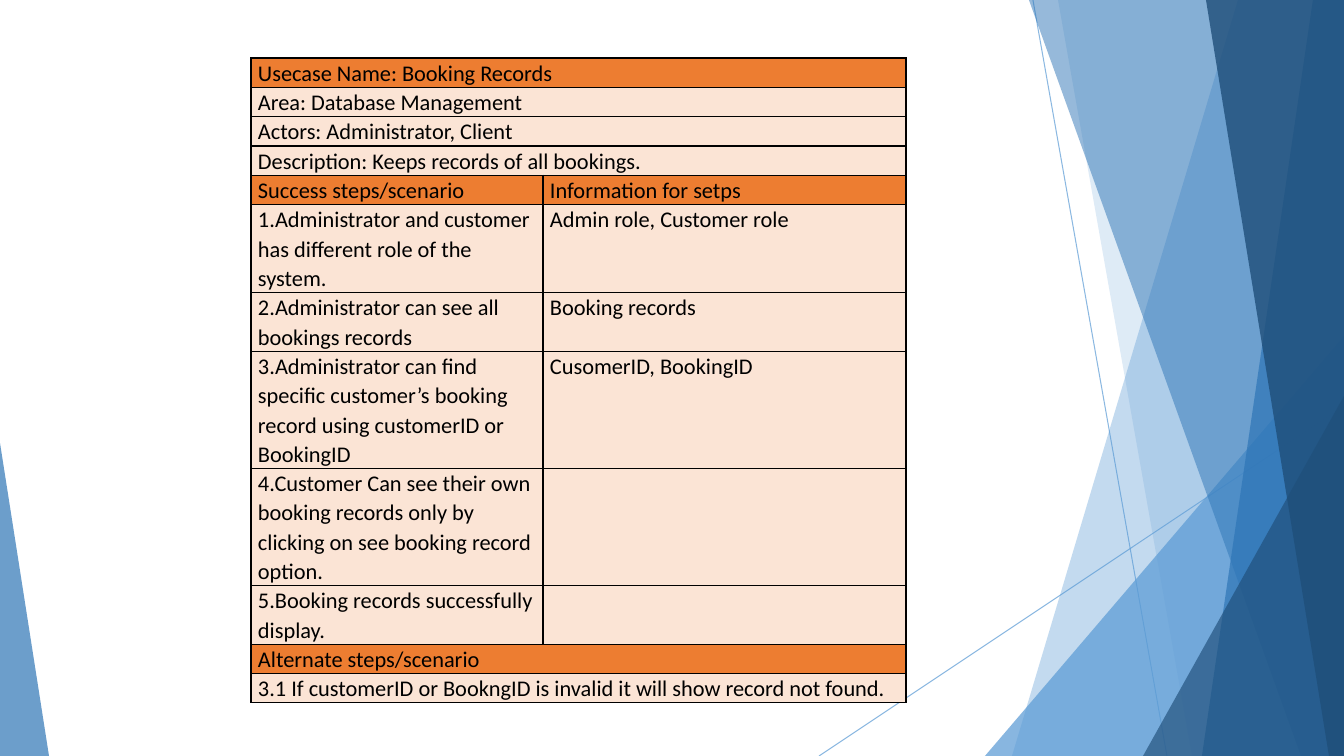
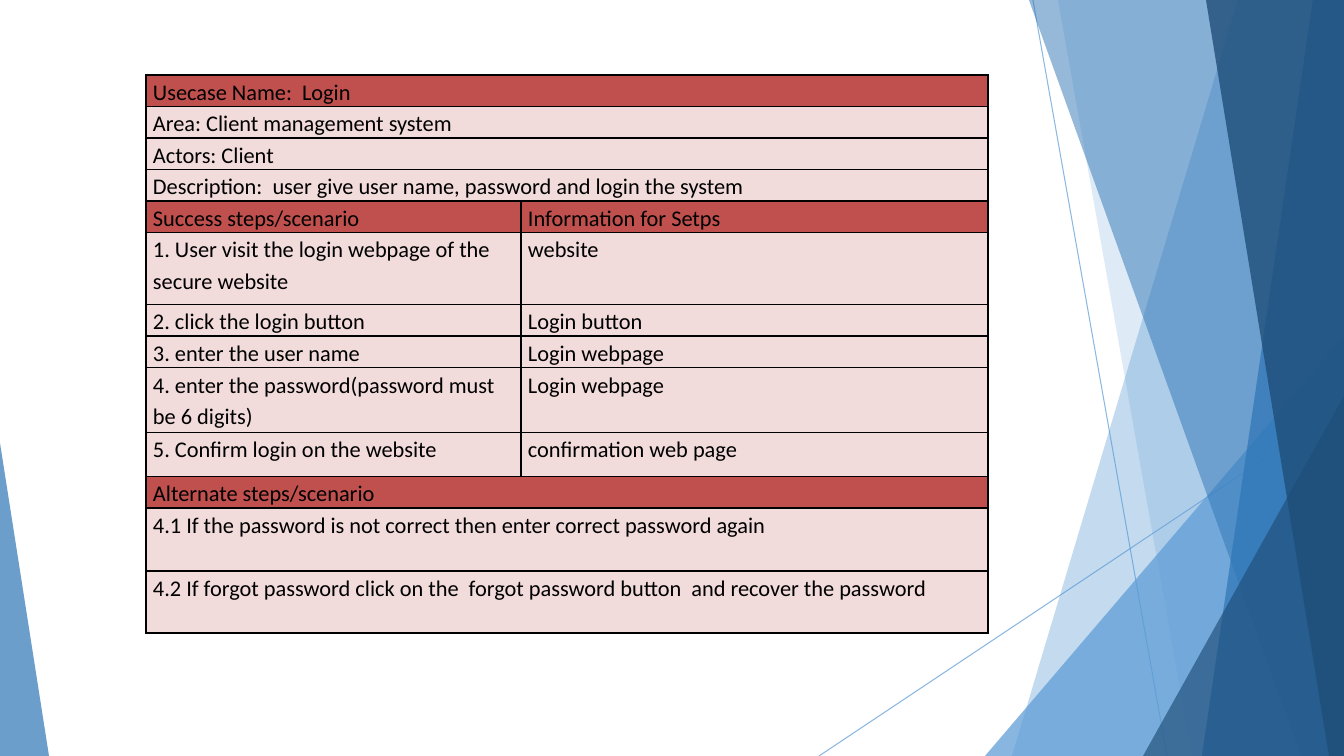
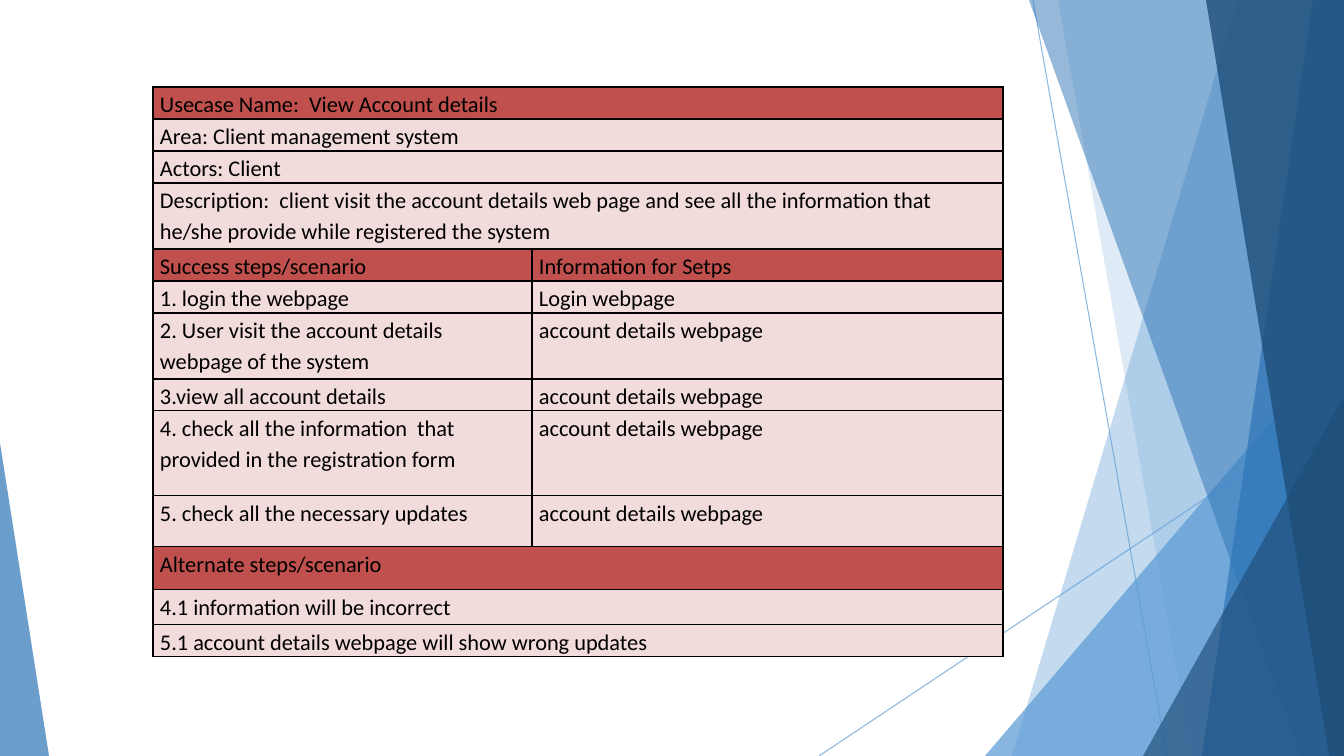
from collections import namedtuple

from pptx import Presentation
from pptx.dml.color import RGBColor
from pptx.enum.shapes import MSO_CONNECTOR, MSO_SHAPE
from pptx.oxml import parse_xml
from pptx.oxml.ns import nsdecls, qn
from pptx.oxml.xmlchemy import OxmlElement
from pptx.util import Pt

WIDTH, HEIGHT = 1344, 756
SCALE = 12192000 / WIDTH

SKY = RGBColor(0x5B, 0x9B, 0xD5)
BLUE = RGBColor(0x2E, 0x75, 0xB6)
NAVY = RGBColor(0x1F, 0x4E, 0x79)
BLACK = RGBColor(0, 0, 0)
ORANGE = RGBColor(0xED, 0x7D, 0x31)
PEACH = RGBColor(0xFB, 0xE4, 0xD5)
RED = RGBColor(0xC0, 0x50, 0x4D)
ROSE = RGBColor(0xF2, 0xDB, 0xDB)

CELL_FONT = {"name": "Calibri", "size": Pt(16)}
CELL_MARGINS = {"margin_left": 7, "margin_right": 7, "margin_top": 0, "margin_bottom": 0}

# Each line: x1, y1, x2, y2
THIN_LINES = [(1033, 0, 1167, 756), (1344, 406, 819, 756)]
# Each band runs to the right edge: top x, bottom x, colour, opacity in percent
LOWER_BANDS = [(1238, 1012, SKY, 36), (1058, 1192, SKY, 20)]
UPPER_BANDS = [(1029, 1301, BLUE, 50), (1313, 1202, BLUE, 70), (1206, 1329, NAVY, 80)]
# Each wedge stands on the bottom edge: left, top, width, apex, colour, opacity
MIDDLE_WEDGE = (985, 336, 359, 1, SKY, 72)
CORNER_WEDGES = [(1143, 396, 201, 1, NAVY, 66), (0, 443, 49, 0, BLUE, 70)]

# A section is a list of rows, heading first; a row is its height and its texts.
UseCase = namedtuple("UseCase", "left top columns heading_fill body_fill line_spacing sections")

USE_CASES = [
    UseCase(251, 58, (292, 363), ORANGE, PEACH, 1.07, [
        [
            (29, "Usecase Name: Booking Records"),
            (29, "Area: Database Management"),
            (29, "Actors: Administrator, Client"),
            (29, "Description: Keeps records of all bookings."),
        ],
        [
            (29, "Success steps/scenario", "Information for setps"),
            (87, "1.Administrator and customer has different role of the system.",
             "Admin role, Customer role"),
            (58, "2.Administrator can see all bookings records", "Booking records"),
            (117, "3.Administrator can find specific customer’s booking record "
                  "using customerID or BookingID", "CusomerID, BookingID"),
            (117, "4.Customer Can see their own booking records only by clicking "
                  "on see booking record option.", ""),
            (58, "5.Booking records successfully display.", ""),
        ],
        [
            (29, "Alternate steps/scenario"),
            (29, "3.1 If customerID or BookngID is invalid it will show record not found."),
        ],
    ]),
    UseCase(146, 75, (375, 467), RED, ROSE, 1.15, [
        [
            (31, "Usecase Name:  Login"),
            (31, "Area: Client management system"),
            (31, "Actors: Client"),
            (31, "Description:  user give user name, password and login the system"),
        ],
        [
            (31, "Success steps/scenario", "Information for Setps"),
            (72, "1. User visit the login webpage of the secure website", "website"),
            (31, "2. click the login button", "Login button"),
            (31, "3. enter the user name", "Login webpage"),
            (65, "4. enter the password(password must be 6 digits)", "Login webpage"),
            (44, "5. Confirm login on the website", "confirmation web page"),
        ],
        [
            (31, "Alternate steps/scenario"),
            (63, "4.1 If the password is not correct then enter correct password again"),
            (62, "4.2 If forgot password click on the  forgot password button  "
                 "and recover the password"),
        ],
    ]),
    UseCase(153, 87, (379, 471), RED, ROSE, 1.15, [
        [
            (32, "Usecase Name:  View Account details"),
            (32, "Area: Client management system"),
            (32, "Actors: Client"),
            (66, "Description:  client visit the account details web page and see all "
                 "the information that he/she provide while registered the system"),
        ],
        [
            (32, "Success steps/scenario", "Information for Setps"),
            (32, "1. login the webpage", "Login webpage"),
            (66, "2. User visit the account details webpage of the system",
             "account details webpage"),
            (32, "3.view all account details", "account details webpage"),
            (85, "4. check all the information  that provided in the registration form",
             "account details webpage"),
            (51, "5. check all the necessary updates", "account details webpage"),
        ],
        [
            (43, "Alternate steps/scenario"),
            (35, "4.1 information will be incorrect"),
            (32, "5.1 account details webpage will show wrong updates"),
        ],
    ]),
]


def px(length):
    return round(length * SCALE)


def set_format(target, values):
    for name, value in values.items():
        setattr(target, name, value)


def set_opacity(shape, percent):
    for colour in shape.element.iter(qn("a:srgbClr")):
        alpha = OxmlElement("a:alpha")
        alpha.set("val", str(percent * 1000))
        colour.append(alpha)


def paint(shape, colour, opacity):
    shape.shadow.inherit = False
    shape.fill.solid()
    shape.fill.fore_color.rgb = colour
    shape.line.fill.background()
    set_opacity(shape, opacity)


def add_thin_line(slide, box, x1, y1, x2, y2):
    left, top, _, _ = box
    line = slide.shapes.add_connector(
        MSO_CONNECTOR.STRAIGHT, px(left + x1), px(top + y1), px(left + x2), px(top + y2))
    line.line.color.rgb = SKY
    line.line.width = Pt(0.75)
    line.element.spPr.append(OxmlElement("a:effectLst"))
    set_opacity(line, 70)


def add_band(slide, box, top_x, bottom_x, colour, opacity):
    left, top, width, height = box
    builder = slide.shapes.build_freeform(top_x, 0, scale=SCALE)
    builder.add_line_segments([(width, 0), (width, height), (bottom_x, height)], close=True)
    paint(builder.convert_to_shape(px(left), px(top)), colour, opacity)


def add_wedge(slide, box, x, y, width, apex, colour, opacity):
    left, top, _, height = box
    wedge = slide.shapes.add_shape(
        MSO_SHAPE.ISOSCELES_TRIANGLE, px(left + x), px(top + y), px(width), px(height - y))
    wedge.adjustments[0] = apex
    paint(wedge, colour, opacity)


def add_backdrop(slide, box):
    for line in THIN_LINES:
        add_thin_line(slide, box, *line)
    for band in LOWER_BANDS:
        add_band(slide, box, *band)
    add_wedge(slide, box, *MIDDLE_WEDGE)
    for band in UPPER_BANDS:
        add_band(slide, box, *band)
    for wedge in CORNER_WEDGES:
        add_wedge(slide, box, *wedge)


def add_borders(cell):
    properties = cell._tc.get_or_add_tcPr()
    for place, side in enumerate(("lnL", "lnR", "lnT", "lnB")):
        properties.insert(place, parse_xml(
            f'<a:{side} {nsdecls("a")} w="{Pt(1)}"><a:solidFill>'
            f'<a:srgbClr val="{BLACK}"/></a:solidFill></a:{side}>'))


def style_cell(cell, fill):
    set_format(cell, {name: px(margin) for name, margin in CELL_MARGINS.items()})
    cell.fill.solid()
    cell.fill.fore_color.rgb = fill
    add_borders(cell)


def write_cell(cell, text, line_spacing):
    cell.text = text
    para = cell.text_frame.paragraphs[0]
    para.line_spacing = line_spacing
    set_format(para.font, CELL_FONT)
    for span in para.runs:
        set_format(span.font, CELL_FONT)
        span.font.color.rgb = BLACK


def add_use_case_table(slide, case):
    rows = [(row, case.body_fill if index else case.heading_fill)
            for section in case.sections for index, row in enumerate(section)]
    total_height = sum(row[0] for row, _ in rows)
    table = slide.shapes.add_table(
        len(rows), len(case.columns), px(case.left), px(case.top),
        px(sum(case.columns)), px(total_height)).table
    set_format(table, {"first_row": False, "horz_banding": False})
    for column, width in zip(table.columns, case.columns):
        column.width = px(width)
    for index, ((height, *texts), fill) in enumerate(rows):
        table.rows[index].height = px(height)
        cells = [table.cell(index, column) for column in range(len(case.columns))]
        for cell in cells:
            style_cell(cell, fill)
        if len(texts) == 1:
            cells[0].merge(cells[-1])
        for cell, text in zip(cells, texts):
            write_cell(cell, text, case.line_spacing)


def main():
    deck = Presentation()
    set_format(deck, {"slide_width": px(WIDTH), "slide_height": px(HEIGHT)})
    for case in USE_CASES:
        page = deck.slides.add_slide(deck.slide_layouts[6])
        add_backdrop(page, (0, 0, WIDTH, HEIGHT))
        add_use_case_table(page, case)
    deck.save("out.pptx")


if __name__ == "__main__":
    main()
